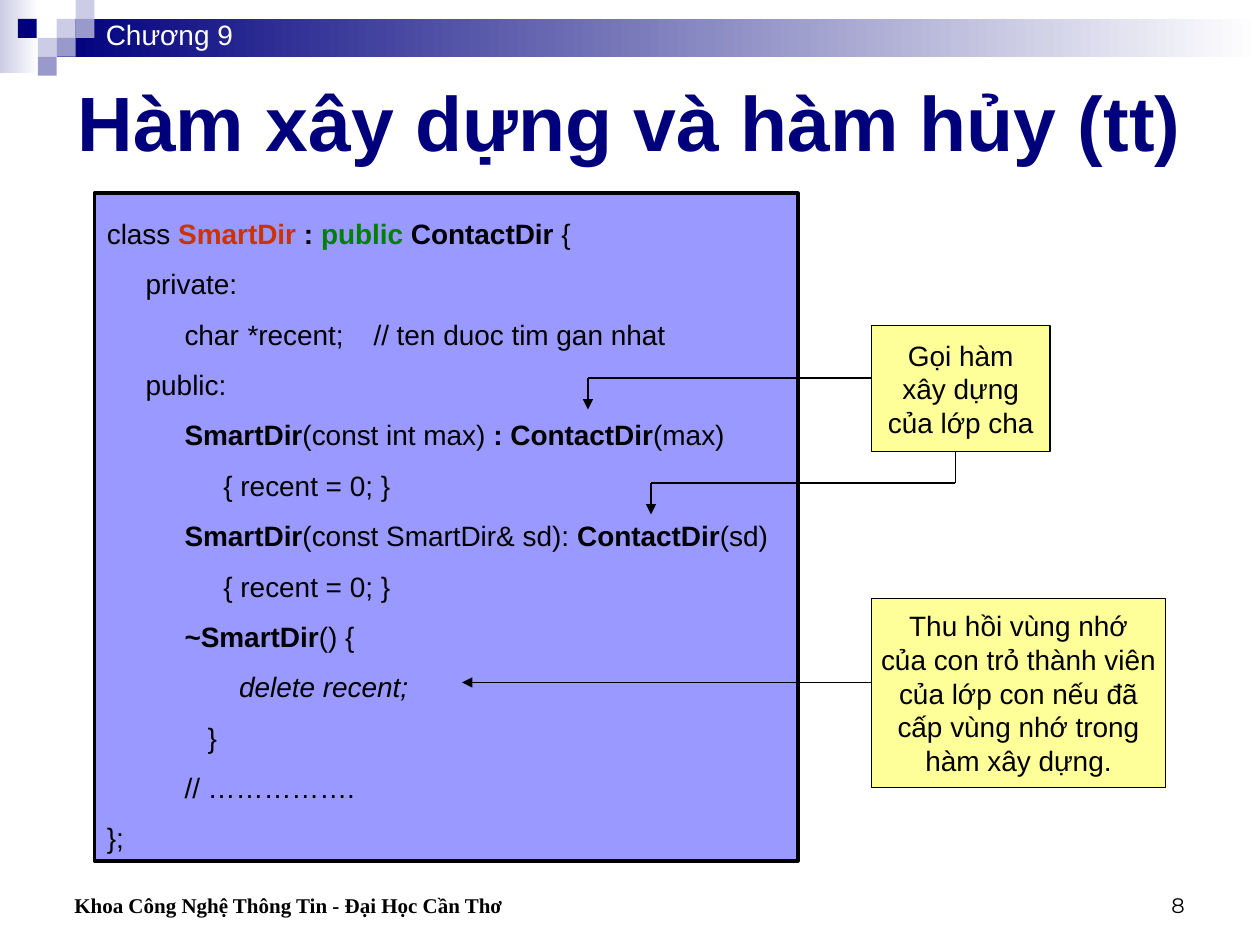
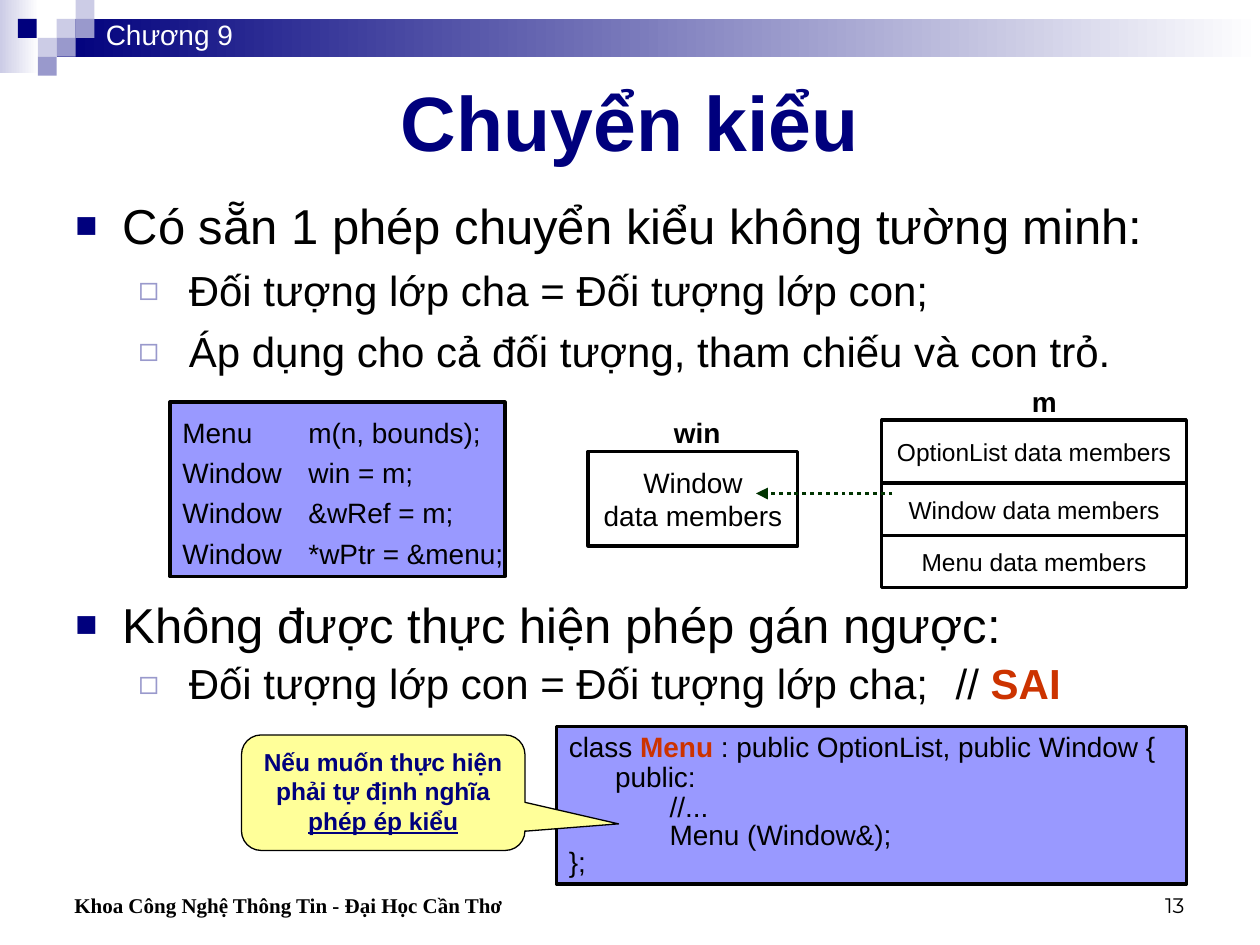
from dataclasses import dataclass

from lxml import etree
from pptx import Presentation
from pptx.dml.color import RGBColor
from pptx.enum.dml import MSO_LINE
from pptx.enum.shapes import MSO_CONNECTOR, MSO_SHAPE
from pptx.enum.text import MSO_ANCHOR, PP_ALIGN
from pptx.oxml.ns import qn
from pptx.util import Pt

PX = 7620
RECT = MSO_SHAPE.RECTANGLE
BUBBLE = MSO_SHAPE.ROUNDED_RECTANGULAR_CALLOUT
STRAIGHT = MSO_CONNECTOR.STRAIGHT
DOTS = MSO_LINE.ROUND_DOT
TOP, MIDDLE, BOTTOM = MSO_ANCHOR.TOP, MSO_ANCHOR.MIDDLE, MSO_ANCHOR.BOTTOM
LEFT, CENTER, RIGHT = PP_ALIGN.LEFT, PP_ALIGN.CENTER, PP_ALIGN.RIGHT

BLACK = RGBColor(0x00, 0x00, 0x00)
WHITE = RGBColor(0xFF, 0xFF, 0xFF)
NAVY = RGBColor(0x00, 0x00, 0x7D)
MIST = RGBColor(0xCC, 0xCC, 0xE6)
STEEL = RGBColor(0x99, 0x99, 0xCC)
LILAC = RGBColor(0x99, 0x99, 0xFF)
CREAM = RGBColor(0xFF, 0xFF, 0x99)
RED = RGBColor(0xCC, 0x33, 0x00)
GREEN = RGBColor(0x00, 0x80, 0x00)
FOREST = RGBColor(0x00, 0x33, 0x00)

TILES = [(54, 18, MIST), (72, 0, MIST), (72, 18, STEEL), (36, 36, MIST),
         (17, 18, NAVY), (54, 36, STEEL), (36, 54, STEEL)]


@dataclass
class Line:
    """One paragraph: runs are strings or (text, style) pairs."""
    runs: list
    left: int = 0
    hang: int = 0
    pitch: float = 1.0
    before: int = 0
    tabs: tuple = ()
    mark: tuple = ()
    size: int = 0


def px(*sizes):
    """Turn px lengths into EMU."""
    return [size * PX for size in sizes]


def bold(text, color=None):
    """Make a bold run."""
    return text, {"bold": True, "color": color}


def code(left, *runs, pitch=1.5, tabs=()):
    """Make one indented line of program code."""
    return Line(list(runs), left, pitch=pitch, tabs=tabs)


def point(text):
    """Make a first-level bullet."""
    return Line([text], 45, -45, before=7, mark=("■", NAVY, 75), size=28)


def detail(*runs, pitch=1.0, tabs=()):
    """Make a second-level bullet."""
    return Line(list(runs), 108, -48, pitch, 6, tabs, ("◻", STEEL, 80), 24)


def indent(para, line):
    """Set the indent, bullet and tab stops of a paragraph."""
    props = para._p.get_or_add_pPr()
    props.set("marL", str(line.left * PX))
    props.set("indent", str(line.hang * PX))
    if line.mark:
        char, color, scale = line.mark
        tint = etree.SubElement(props, qn("a:buClr"))
        etree.SubElement(tint, qn("a:srgbClr"), val=str(color))
        etree.SubElement(props, qn("a:buSzPct"), val=str(scale * 1000))
        etree.SubElement(props, qn("a:buFont"), typeface="Arial")
        etree.SubElement(props, qn("a:buChar"), char=char)
    if line.tabs:
        stops = etree.SubElement(props, qn("a:tabLst"))
        for stop in line.tabs:
            etree.SubElement(stops, qn("a:tab"), pos=str(stop * PX), algn="l")


def style(font, color=None, **traits):
    """Apply a colour and traits to a font."""
    if color is not None:
        font.color.rgb = color
    for name, value in traits.items():
        setattr(font, name, value)


def write(shape, lines, size=16, color=BLACK, face="Arial", heavy=False,
          align=LEFT, anchor=MIDDLE, wrap=True):
    """Fill a shape with lines of text."""
    frame = shape.text_frame
    frame.word_wrap = wrap
    frame.vertical_anchor = anchor
    for number, line in enumerate(lines):
        if isinstance(line, str):
            line = Line([line])
        para = frame.add_paragraph() if number else frame.paragraphs[0]
        para.alignment = align
        para.line_spacing = line.pitch
        para.space_before = Pt(line.before)
        indent(para, line)
        style(para.font, color, name=face, size=Pt(line.size or size),
              bold=heavy)
        for item in line.runs:
            text, traits = (item, {}) if isinstance(item, str) else item
            run = para.add_run()
            run.text = text
            style(run.font, **traits)


def box(slide, place, fill=None, edge=0, kind=RECT):
    """Draw a preset shape with an optional fill and black edge."""
    shape = slide.shapes.add_shape(kind, *px(*place))
    shape.shadow.inherit = False
    if fill is None:
        shape.fill.background()
    else:
        shape.fill.solid()
        shape.fill.fore_color.rgb = fill
    if edge:
        shape.line.color.rgb = BLACK
        shape.line.width = Pt(edge)
    else:
        shape.line.fill.background()
    return shape


def fade(slide, place, color):
    """Draw a band that fades to white on the right."""
    fill = box(slide, place).fill
    fill.gradient()
    fill.gradient_angle = 0
    for stop, shade in zip(fill.gradient_stops, (color, WHITE)):
        stop.color.rgb = shade


def label(slide, place, lines, **look):
    """Add a text box."""
    write(slide.shapes.add_textbox(*px(*place)), lines, **look)


def panel(slide, place, lines):
    """Draw a code panel."""
    shape = box(slide, place, LILAC, 2)
    shape.text_frame.margin_right = 0
    write(shape, lines)


def note(slide, place, lines):
    """Draw a yellow note."""
    write(box(slide, place, CREAM, 0.75), lines, align=CENTER, wrap=False)


def cell(slide, place, lines, size=14):
    """Draw an outlined memory block."""
    write(box(slide, place, edge=1.75), lines, size, align=CENTER, wrap=False)


def wire(slide, ends, color=BLACK, width=0.75, arrow=False, dash=None):
    """Draw a straight line, with an arrowhead if asked."""
    link = slide.shapes.add_connector(STRAIGHT, *px(*ends))
    link.line.color.rgb = color
    link.line.width = Pt(width)
    if dash:
        link.line.dash_style = dash
    if arrow:
        etree.SubElement(link.line._get_or_add_ln(), qn("a:tailEnd"),
                         type="triangle")
    etree.SubElement(link._element.spPr, qn("a:effectLst"))


def start(deck, title, number):
    """Add a slide with its bands, title and footer."""
    slide = deck.slides.add_slide(deck.slide_layouts[5])
    fade(slide, (0, 0, 37, 70), MIST)
    fade(slide, (54, 18, 1146, 36), NAVY)
    for left, top, color in TILES:
        box(slide, (left, top, 18, 18), color)
    head = slide.shapes.title
    head.left, head.top, head.width, head.height = px(60, 60, 1080, 110)
    write(head, [title], 44, NAVY, heavy=True, align=CENTER)
    label(slide, (89, 11, 210, 44), ["Chương 9"], color=WHITE, anchor=TOP)
    label(slide, (30, 820, 580, 60),
          [Line(["Khoa Công Nghệ Thông Tin - Đại Học Cần Thơ"], 29)],
          size=12, face="Times New Roman", heavy=True, anchor=BOTTOM)
    label(slide, (860, 820, 280, 60), [str(number)], size=12,
          face="Montserrat", align=RIGHT, anchor=BOTTOM)
    return slide


def build(deck):
    """Build the slide on constructors and destructors."""
    slide = start(deck, "Hàm xây dựng và hàm hủy (tt)", 8)
    reset = code(111, "{ recent = 0; }")
    panel(slide, (90, 184, 670, 636), [
        code(0, "class ", bold("SmartDir", RED), bold(" : "),
             bold("public ", GREEN), bold("ContactDir"), " {"),
        code(37, "private:"),
        code(74, "char\t*recent;\t// ten duoc tim gan nhat", tabs=(142, 248)),
        code(37, "public:"),
        code(74, bold("SmartDir"), "(const int max) ", bold(": ContactDir"),
             "(max)"),
        reset,
        code(74, bold("SmartDir"), "(const SmartDir& sd): ",
             bold("ContactDir"), "(sd)"),
        reset,
        code(74, bold("~SmartDir"), "() {"),
        code(126, ("delete recent;", {"italic": True})),
        code(96, "}"),
        code(74, "// ……………."),
        code(0, "};"),
    ])
    note(slide, (830, 310, 170, 120), ["Gọi hàm", "xây dựng", "của lớp cha"])
    wire(slide, (830, 360, 560, 360))
    wire(slide, (560, 360, 560, 390), arrow=True)
    wire(slide, (910, 460, 620, 460))
    wire(slide, (620, 460, 620, 490), arrow=True)
    wire(slide, (910, 460, 910, 430))
    note(slide, (830, 570, 280, 180), [
        "Thu hồi vùng nhớ", "của con trỏ thành viên", "của lớp con nếu đã",
        "cấp vùng nhớ trong", "hàm xây dựng."])
    wire(slide, (830, 650, 440, 650), arrow=True)


def cast(deck):
    """Build the slide on type conversion."""
    slide = start(deck, "Chuyển kiểu", 13)
    label(slide, (60, 180, 1110, 190), [
        point("Có sẵn 1 phép chuyển kiểu không tường minh:"),
        detail("Đối tượng lớp cha = Đối tượng lớp con;"),
        detail("Áp dụng cho cả đối tượng, tham chiếu và con trỏ."),
    ], anchor=TOP)
    label(slide, (60, 560, 970, 130), [
        point("Không được thực hiện phép gán ngược:"),
        detail("Đối tượng lớp con = Đối tượng lớp cha;\t// ",
               bold("SAI", RED), pitch=0.9, tabs=(840,)),
    ], anchor=TOP)
    uses = ["win = m;", "&wRef = m;", "*wPtr = &menu;"]
    panel(slide, (162, 383, 319, 166),
          [code(0, "Menu\tm(n, bounds);", pitch=1.2, tabs=(103,))]
          + [code(0, "Window\t" + use, pitch=1.2, tabs=(109,))
             for use in uses])
    panel(slide, (530, 692, 600, 150), [
        code(0, "class ", bold("Menu", RED),
             " : public OptionList, public Window {", pitch=0.9),
        code(44, "public:", pitch=0.9),
        code(96, "//...", pitch=0.9),
        code(96, "Menu (Window&);", pitch=0.8),
        code(0, "};", pitch=0.8),
    ])
    bubble = box(slide, (230, 700, 270, 110), CREAM, 0.75, BUBBLE)
    for number, value in enumerate((0.83, 0.27, 0.17)):
        bubble.adjustments[number] = value
    write(bubble, ["Nếu muốn thực hiện", "phải tự định nghĩa",
                   Line([("phép ép kiểu", {"underline": True})])],
          14, NAVY, heavy=True, align=CENTER, anchor=TOP)
    cell(slide, (560, 430, 200, 90), ["Window", "data members"], 16)
    top = 400
    for name, tall in (("OptionList", 60), ("Window", 50), ("Menu", 50)):
        cell(slide, (840, top, 290, tall), [name + " data members"])
        top += tall
    wire(slide, (850, 470, 720, 470), FOREST, 2.25, True, DOTS)
    for name, place in (("win", (630, 390, 68, 44)), ("m", (971, 360, 47, 44))):
        label(slide, place, [name], heavy=True, anchor=TOP, wrap=False)


def main():
    """Build and save the deck."""
    deck = Presentation()
    deck.slide_width, deck.slide_height = px(1200, 900)
    build(deck)
    cast(deck)
    deck.save("out.pptx")


if __name__ == "__main__":
    main()
